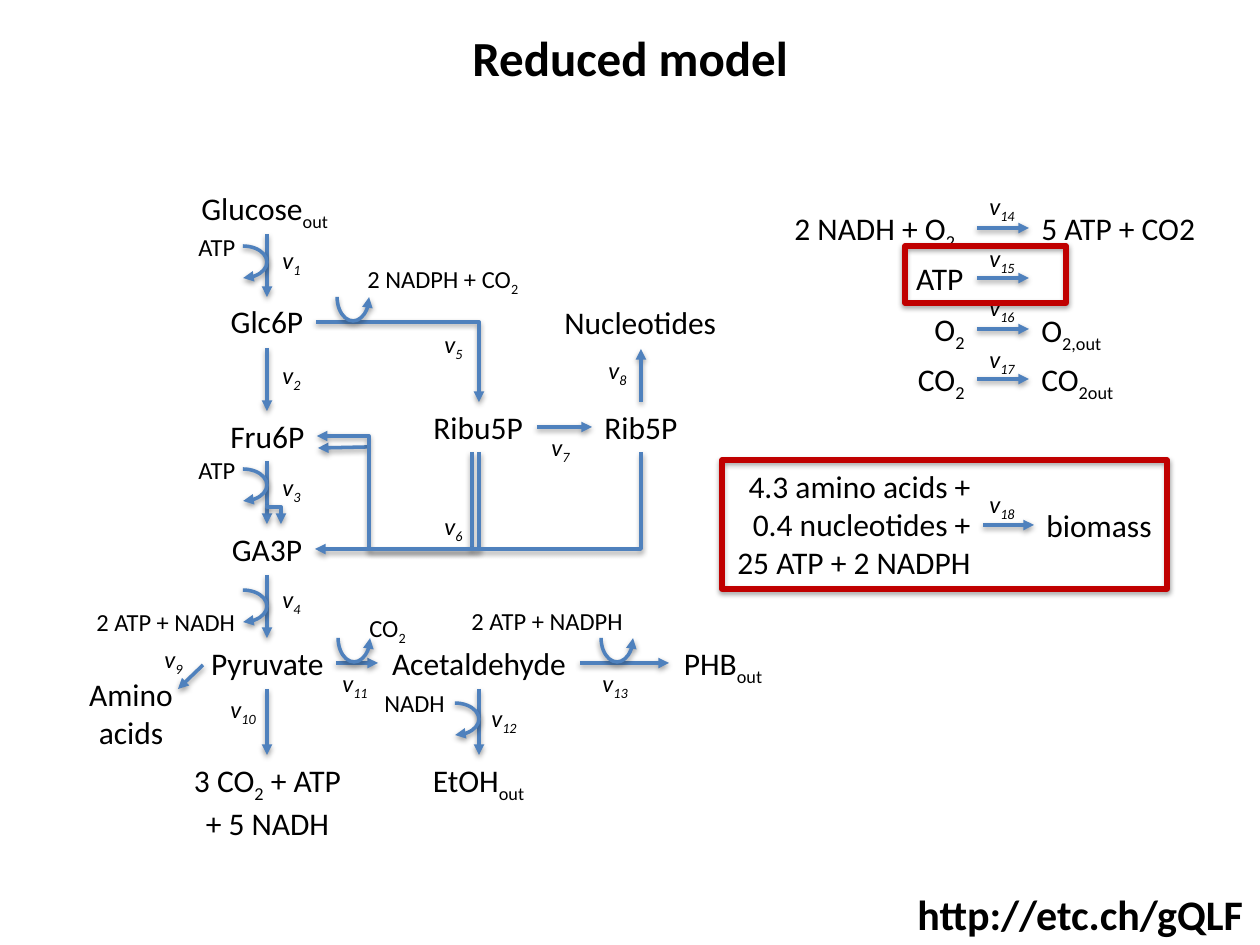
from dataclasses import dataclass
from lxml.etree import SubElement
from pptx import Presentation
from pptx.dml.color import RGBColor
from pptx.enum.shapes import MSO_CONNECTOR, MSO_SHAPE
from pptx.enum.text import MSO_AUTO_SIZE, PP_ALIGN
from pptx.oxml.ns import qn
from pptx.util import Pt

SCALE = 914400 / 126  # EMU per px
FONT = "Calibri"
BLUE, RED, BLACK = "4F81BD", "C00000", "000000"
LEFT, MID, RIGHT = PP_ALIGN.LEFT, PP_ALIGN.CENTER, PP_ALIGN.RIGHT
HIGH = {14: 43, 18: 50, 24: 63}  # one-line box height by font size
STEP = 39  # height of each further line


@dataclass
class Label:
    """Text box; an underscore switches subscript on and off."""
    x: int
    y: int
    w: int
    text: str
    align: PP_ALIGN = LEFT
    size: int = 18
    bold: bool = False
    slant: bool = False


@dataclass
class Arrow:
    x1: int
    y1: int
    x2: int
    y2: int
    head: bool = True


@dataclass
class Elbow(Arrow):
    kind: str = "bentConnector2"
    turn: int = 0
    flip: bool = False
    bends: tuple[float, ...] = ()


@dataclass
class Arc:
    x: int
    y: int
    up: bool = False  # opens upward across a level arrow


@dataclass
class Frame:
    x: int
    y: int
    w: int
    h: int


def px(n: float) -> int:
    return round(n * SCALE)


def tint(code: str) -> RGBColor:
    return RGBColor.from_string(code)


def stroke(item, code: str, width: float, head: bool = False) -> None:
    """Outline, arrowhead and soft shadow."""
    item.line.width = Pt(width)
    item.line.color.rgb = tint(code)
    props = item._element.spPr
    if head:
        SubElement(props.find(qn("a:ln")), qn("a:tailEnd"), type="triangle")
    glow = SubElement(SubElement(props, qn("a:effectLst")), qn("a:outerShdw"),
                      blurRad="40000", dist="20000", dir="5400000", rotWithShape="0")
    shade = SubElement(glow, qn("a:srgbClr"), val=BLACK)
    SubElement(shade, qn("a:alpha"), val="38000")


def write(para, label: Label) -> None:
    para.alignment = label.align
    for i, part in enumerate(label.line.split("_") if hasattr(label, "line") else []):
        add_run(para, part, label, i % 2 == 1)


def add_run(para, part: str, label: Label, low: bool) -> None:
    run = para.add_run()
    run.text = part
    font = run.font
    font.name, font.size = FONT, Pt(label.size)
    font.bold, font.italic = label.bold, label.slant
    font.color.rgb = tint(BLACK)
    if low:
        run._r.get_or_add_rPr().set("baseline", "-25000")


def fill_text(frame, label: Label) -> None:
    for n, line in enumerate(label.text.split("\n")):
        para = frame.add_paragraph() if n else frame.paragraphs[0]
        para.alignment = label.align
        for i, part in enumerate(line.split("_")):
            if part:
                add_run(para, part, label, i % 2 == 1)


def draw_label(shapes, label: Label) -> None:
    high = HIGH[label.size] + STEP * label.text.count("\n")
    box = shapes.add_textbox(px(label.x), px(label.y), px(label.w), px(high))
    box.text_frame.word_wrap = False
    box.text_frame.auto_size = MSO_AUTO_SIZE.SHAPE_TO_FIT_TEXT
    fill_text(box.text_frame, label)


def draw_arrow(shapes, a: Arrow) -> None:
    ends = [px(n) for n in (a.x1, a.y1, a.x2, a.y2)]
    stroke(shapes.add_connector(MSO_CONNECTOR.STRAIGHT, *ends), BLUE, 2, a.head)


def draw_elbow(shapes, e: Elbow) -> None:
    wide, high = abs(e.x2 - e.x1), abs(e.y2 - e.y1)
    if e.turn % 180:
        wide, high = high, wide
    x, y = (e.x1 + e.x2 - wide) / 2, (e.y1 + e.y2 - high) / 2
    line = shapes.add_connector(MSO_CONNECTOR.ELBOW, px(x), px(y), px(x + wide), px(y + high))
    props = line._element.spPr
    place = props.find(qn("a:xfrm"))
    place.set("rot", str(e.turn * 60000))
    if e.flip:
        place.set("flipH", "1")
    geom = props.find(qn("a:prstGeom"))
    geom.set("prst", e.kind)
    for n, bend in enumerate(e.bends, 1):
        SubElement(geom.find(qn("a:avLst")), qn("a:gd"), name=f"adj{n}",
                   fmla=f"val {round(bend * 100000)}")
    stroke(line, BLUE, 2, e.head)


def draw_arc(shapes, a: Arc) -> None:
    arc = shapes.add_shape(MSO_SHAPE.ARC, px(a.x), px(a.y), px(48), px(32))
    arc.adjustments[0], arc.adjustments[1] = 162, 53.44
    if a.up:
        arc.rotation = 270
        arc._element.spPr.find(qn("a:xfrm")).set("flipH", "1")
    arc.fill.background()
    stroke(arc, BLUE, 2, True)


def draw_frame(shapes, f: Frame) -> None:
    box = shapes.add_shape(MSO_SHAPE.RECTANGLE, px(f.x), px(f.y), px(f.w), px(f.h))
    box.fill.background()
    stroke(box, RED, 3)


# Metabolites, side products and link
LABELS = [
    Label(189, 183, 157, "Glucose_out"), Label(218, 296, 98, "Glc6P", MID),
    Label(217, 411, 101, "Fru6P", MID), Label(421, 402, 116, "Ribu5P"),
    Label(592, 402, 100, "Rib5P"), Label(219, 524, 96, "GA3P", MID),
    Label(198, 638, 139, "Pyruvate", MID), Label(76, 669, 110, "Amino\nacids", MID),
    Label(378, 638, 202, "Acetaldehyde", MID), Label(418, 755, 121, "EtOH_out", MID),
    Label(669, 638, 108, "PHB_out", MID), Label(552, 297, 179, "Nucleotides"),
    Label(180, 755, 175, "3 CO_2_ + ATP\n+ 5 NADH", MID),
    Label(782, 203, 195, "2 NADH + O_2"), Label(1029, 203, 181, "5 ATP + CO2"),
    Label(903, 253, 73, "ATP", RIGHT),
    Label(920, 304, 57, "O_2", RIGHT), Label(1029, 305, 92, "O_2,out"),
    Label(903, 354, 74, "CO_2", RIGHT), Label(1029, 354, 103, "CO_2out"),
    Label(722, 461, 261, "4.3 amino acids +\n0.4 nucleotides +\n25 ATP + 2 NADPH", RIGHT),
    Label(1034, 500, 132, "biomass"),
    Label(186, 226, 63, "ATP", size=14), Label(186, 449, 63, "ATP", size=14),
    Label(84, 601, 165, "2 ATP + NADH", size=14),
    Label(355, 258, 183, "2 NADPH + CO_2", size=14),
    Label(372, 682, 87, "NADH", size=14), Label(357, 607, 63, "CO_2", size=14),
    Label(459, 600, 184, "2 ATP + NADPH", size=14),
    Label(905, 882, 355, "http://etc.ch/gQLF", size=24, bold=True),
]
# Places of the rate names v1 to v18, in order
RATES = [
    (270, 239), (270, 354), (270, 466), (270, 578), (432, 323), (432, 505),
    (539, 426), (596, 349), (152, 638), (218, 688), (330, 662), (479, 697),
    (590, 662), (977, 185), (977, 237), (977, 286), (977, 338), (977, 483),
]
ARROWS = [
    *(Arrow(267, y, 267, y + 63) for y in (234, 348, 461, 575)),
    *(Arrow(x, 689, x, 755) for x in (267, 479)),
    *(Arrow(977, y, 1029, y) for y in (228, 278, 329, 379)),
    Arrow(983, 525, 1034, 525), Arrow(203, 665, 178, 689),
    Arrow(336, 663, 378, 663), Arrow(580, 663, 669, 663),
    Arrow(641, 402, 641, 349), Arrow(537, 427, 592, 427),
    Arrow(472, 452, 472, 549, head=False), Arrow(367, 447, 318, 448),
]
ELBOWS = [
    Elbow(316, 322, 479, 402),
    Elbow(479, 452, 317, 436, kind="bentConnector4", turn=90, flip=True, bends=(-6.06, 0.68)),
    Elbow(641, 452, 315, 549, turn=90),
    Elbow(267, 505, 281, 524, kind="bentConnector3", turn=270, flip=True, bends=(0.1,)),
]
ARCS = [
    *(Arc(219, y) for y in (246, 469, 590)), Arc(431, 703),
    Arc(329, 281, True), Arc(330, 622, True), Arc(593, 622, True),
]
FRAMES = [Frame(905, 246, 161, 57), Frame(722, 460, 445, 129)]


def main() -> None:
    deck = Presentation()
    deck.slide_width, deck.slide_height = px(1260), px(945)
    slide = deck.slides.add_slide(deck.slide_layouts[5])
    shapes = slide.shapes

    # Title
    title = shapes.title
    title.left, title.top, title.width, title.height = (px(n) for n in (63, 20, 1134, 74))
    fill_text(title.text_frame, Label(63, 20, 1134, "Reduced model", MID, 28, True))

    # Network
    rates = [Label(x, y, 45 if n < 10 else 53, f"v_{n}", size=14, slant=True)
             for n, (x, y) in enumerate(RATES, 1)]
    for draw, items in ((draw_arrow, ARROWS), (draw_elbow, ELBOWS), (draw_arc, ARCS),
                        (draw_label, LABELS + rates), (draw_frame, FRAMES)):
        for item in items:
            draw(shapes, item)
    deck.save("out.pptx")


if __name__ == "__main__":
    main()
